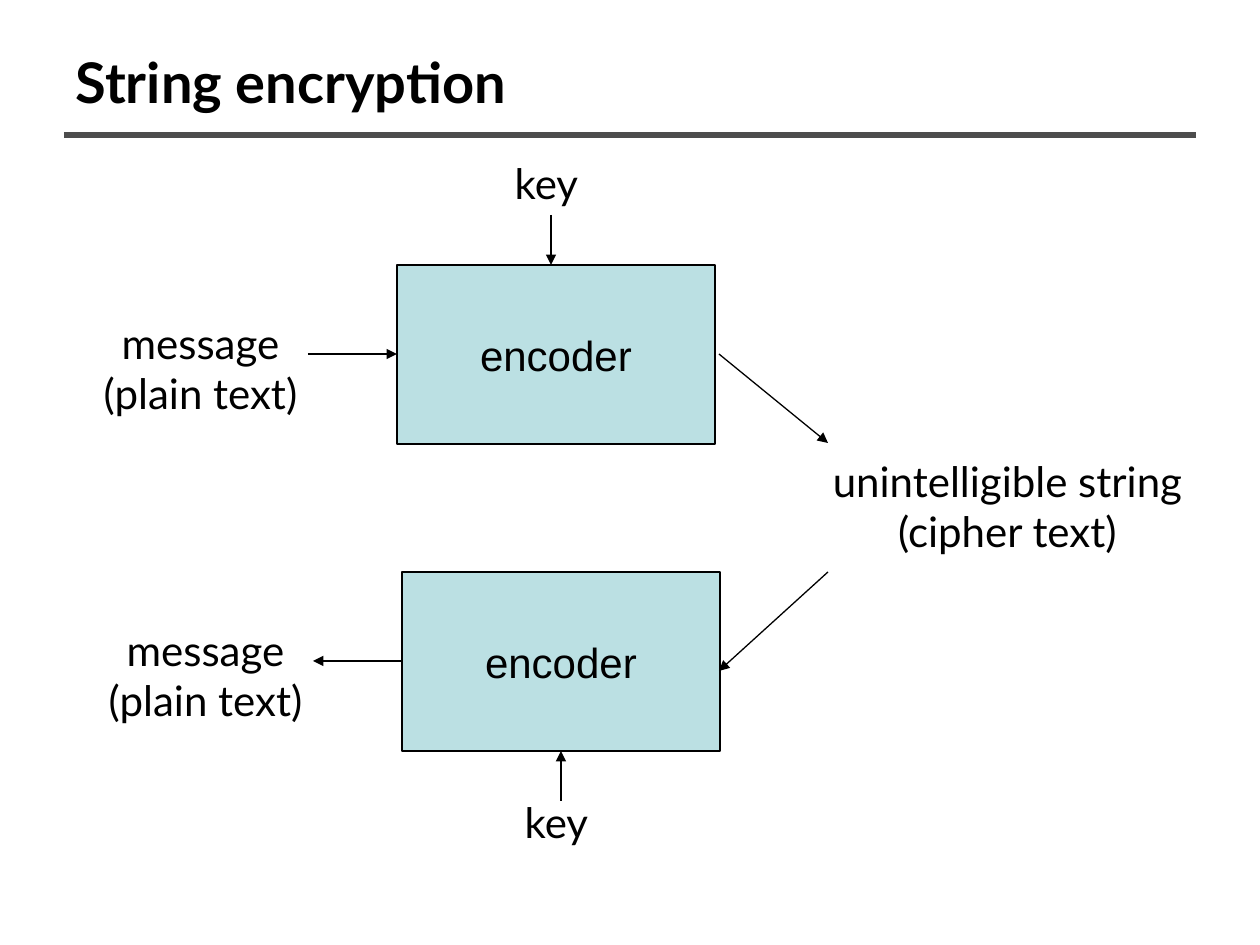
from lxml import etree
from pptx import Presentation
from pptx.dml.color import RGBColor
from pptx.enum.shapes import MSO_CONNECTOR, MSO_SHAPE
from pptx.enum.text import MSO_ANCHOR, PP_ALIGN
from pptx.oxml.ns import qn
from pptx.util import Pt

PX = 914400 // 126
STRAIGHT = MSO_CONNECTOR.STRAIGHT
RECT = MSO_SHAPE.RECTANGLE
TOP, MIDDLE = MSO_ANCHOR.TOP, MSO_ANCHOR.MIDDLE
LEFT, CENTER = PP_ALIGN.LEFT, PP_ALIGN.CENTER
BLACK, GRAY, TEAL = "000000", "4D4D4D", "BBE0E3"


def px(*values):
    return [v * PX for v in values]


def color(hex_string):
    return RGBColor.from_string(hex_string)


def put_text(sp, text, font="Lato", size=24, bold=False, align=CENTER,
             anchor=TOP, wrap=False):
    tf = sp.text_frame
    tf.text = text
    tf.word_wrap = wrap
    tf.vertical_anchor = anchor
    for p in tf.paragraphs:
        p.alignment = align
        f = p.runs[0].font
        f.name, f.size, f.bold = font, Pt(size), bold
        f.color.rgb = color(BLACK)


def add_label(s, text, x, y, w, h):
    put_text(s.shapes.add_textbox(*px(x, y, w, h)), text)


def add_line(s, x1, y1, x2, y2, line=BLACK, width=0.75, arrow=True):
    """Draw a line whose arrowhead, if any, is at the second point."""
    c = s.shapes.add_connector(STRAIGHT, *px(x1, y1, x2, y2))
    c.line.color.rgb = color(line)
    c.line.width = Pt(width)
    if arrow:
        etree.SubElement(c.line._get_or_add_ln(), qn("a:tailEnd"), type="triangle")
    etree.SubElement(c._element.spPr, qn("a:effectLst"))


def add_title(s, x, y, w, h):
    sp = s.shapes.title
    sp.left, sp.top, sp.width, sp.height = px(x, y, w, h)
    put_text(sp, "String encryption", size=32, bold=True, align=LEFT,
             anchor=MIDDLE, wrap=True)
    add_line(s, x + 1, y + 97, x + w - 1, y + 97, GRAY, 3, arrow=False)


def add_stage(s, x, y, w, h, key_x, decoding=False):
    """Place an encoder box with its key and its plain text message."""
    sp = s.shapes.add_shape(RECT, *px(x, y, w, h))
    sp.shadow.inherit = False
    sp.fill.solid()
    sp.fill.fore_color.rgb = color(TEAL)
    sp.line.color.rgb = color(BLACK)
    sp.line.width = Pt(0.75)
    put_text(sp, "encoder", font="Arial", anchor=MIDDLE)

    add_label(s, "message\n(plain text)", x - 316, y + 46, 239, 113)
    mid = y + h // 2
    ends = (x, x - 89) if decoding else (x - 89, x)
    add_line(s, ends[0], mid, ends[1], mid)

    edge = y + h if decoding else y
    key_y = edge + 39 if decoding else edge - 114
    add_label(s, "key", key_x - 50, key_y, 91, 63)
    add_line(s, key_x, edge + (50 if decoding else -50), key_x, edge)


def add_cipher(s, x, y, w, h):
    """Place the cipher text with the arrows that join it to both stages."""
    add_label(s, "unintelligible string\n(cipher text)", x, y, w, h)
    add_line(s, x - 92, y - 95, x + 17, y - 6)
    add_line(s, x + 17, y + 123, x - 92, y + 222)


def main():
    prs = Presentation()
    prs.slide_width, prs.slide_height = px(1260, 945)
    s = prs.slides.add_slide(prs.slide_layouts[5])
    add_title(s, 63, 38, 1134, 87)
    add_stage(s, 397, 265, 318, 179, key_x=551)
    add_stage(s, 402, 572, 318, 179, key_x=561, decoding=True)
    add_cipher(s, 811, 449, 393, 113)
    prs.save("out.pptx")


if __name__ == "__main__":
    main()
